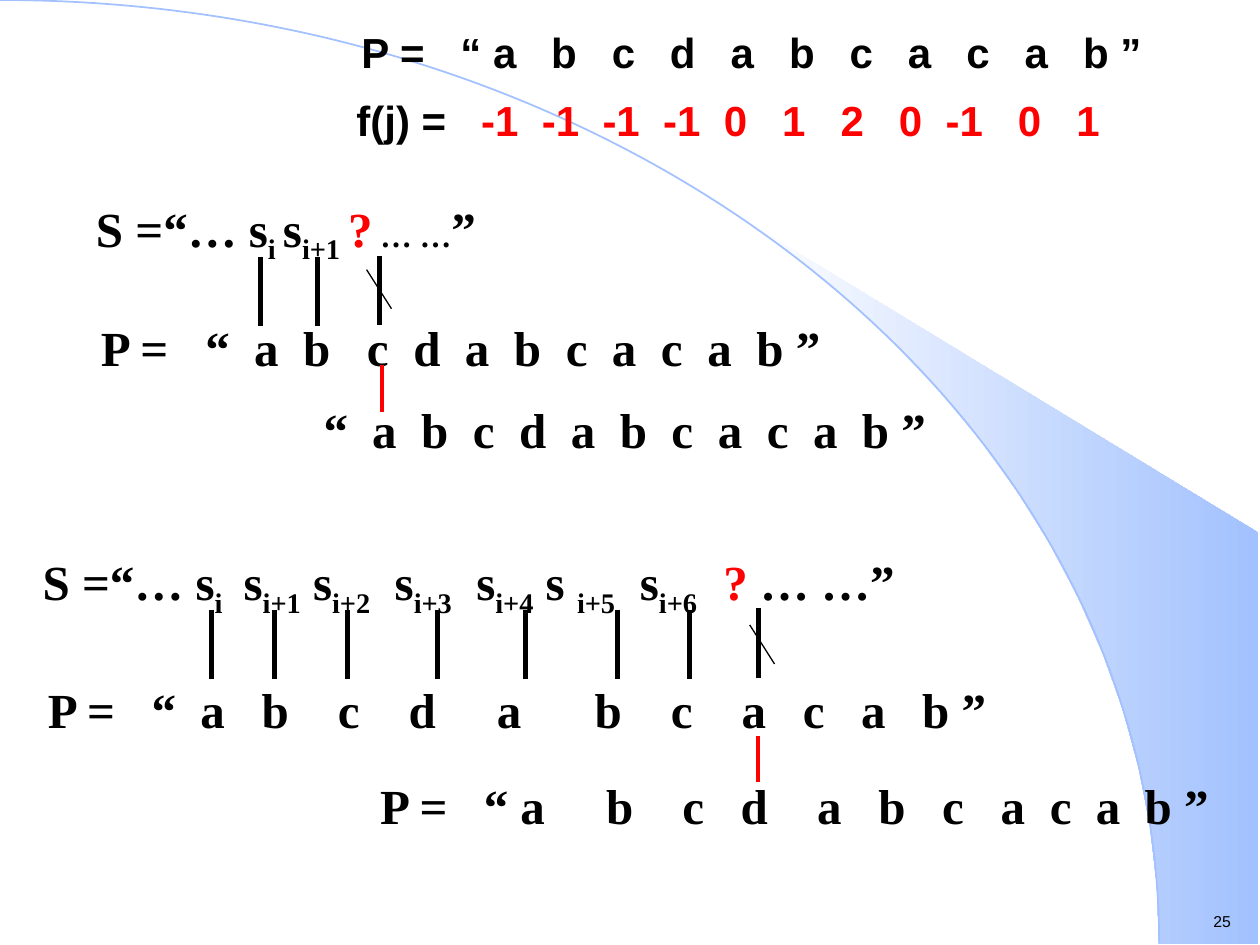
import math

import pptx
import pptx.dml.color
import pptx.enum.shapes
import pptx.enum.text
import pptx.oxml
import pptx.oxml.ns
import pptx.util

Pt = pptx.util.Pt
BLACK, RED, BLUE, WHITE = "000000", "FF0000", "A2C1FE", "FFFFFF"
SERIF, SANS = "Times New Roman", "Arial"
NS = pptx.oxml.ns.nsdecls("a")


def color(value):
    return pptx.dml.color.RGBColor.from_string(value)


class Deck:
    """Holds the text insets and the slide being drawn."""

    inset_x, inset_y = 7.2, 3.6

    def __init__(self, width, height):
        self.prs = pptx.Presentation()
        self.prs.slide_width, self.prs.slide_height = Pt(width), Pt(height)
        self.s = self.prs.slides.add_slide(self.prs.slide_layouts[6])
        self.s.background.fill.solid()
        self.s.background.fill.fore_color.rgb = color(WHITE)

    def text(self, x, y, w, h, runs, stops=(), font=SERIF, size=28, bold=True,
             indent=0, wrap=True):
        """Adds one line; a run is (text, changes), stops are slide x positions."""
        sp = self.s.shapes.add_textbox(Pt(x), Pt(y), Pt(w), Pt(h))
        tf = sp.text_frame
        tf.word_wrap = wrap
        tf.auto_size = pptx.enum.text.MSO_AUTO_SIZE.SHAPE_TO_FIT_TEXT
        tf.margin_left = Pt(self.inset_x + indent)
        tf.margin_right = Pt(self.inset_x)
        tf.margin_top = tf.margin_bottom = Pt(self.inset_y)
        p = tf.paragraphs[0]
        if stops:
            origin = x + self.inset_x + indent
            tabs = "".join(f'<a:tab pos="{int(Pt(stop - origin))}" algn="l"/>'
                           for stop in stops)
            p._p.get_or_add_pPr().append(
                pptx.oxml.parse_xml(f"<a:tabLst {NS}>{tabs}</a:tabLst>"))
        for words, changes in runs:
            r = p.add_run()
            r.text = words
            r.font.name = font
            r.font.size = Pt(changes.get("size", size))
            r.font.bold = changes.get("bold", bold)
            r.font.color.rgb = color(changes.get("color", BLACK))
            if changes.get("sub"):
                r.font._element.set("baseline", "-25000")

    def line(self, x1, y1, x2, y2, width=3, ink=BLACK):
        sp = self.s.shapes.add_connector(
            pptx.enum.shapes.MSO_CONNECTOR.STRAIGHT, Pt(x1), Pt(y1), Pt(x2), Pt(y2))
        sp.line.color.rgb = color(ink)
        sp.line.width = Pt(width)
        sp._element.spPr.append(pptx.oxml.parse_xml(f"<a:effectLst {NS}/>"))

    def freeform(self, points, close):
        fine = [(round(x * 100), round(y * 100)) for x, y in points]
        fb = self.s.shapes.build_freeform(*fine[0], scale=Pt(1) / 100)
        fb.add_line_segments(fine[1:], close=close)
        sp = fb.convert_to_shape()
        sp.shadow.inherit = False
        return sp

    def gradient_area(self, points):
        sp = self.freeform(points, True)
        sp.line.fill.background()
        sp.fill.gradient()
        sp.fill.gradient_angle = 0
        for stop, ink, place in zip(sp.fill.gradient_stops, (WHITE, BLUE), (0, 1)):
            stop.color.rgb = color(ink)
            stop.position = place

    def quarter_arc(self, rx, ry):
        """Draws a quarter ellipse from the slide corner as one Bezier curve."""
        sp = self.freeform([(0, 0), (rx, ry)], False)
        sp.fill.background()
        sp.line.color.rgb = color(BLUE)
        sp.line.width = Pt(1)
        segment = sp._element.find(".//" + pptx.oxml.ns.qn("a:lnTo"))
        k = 0.5523
        controls = ((rx * k, 0), (rx, ry * (1 - k)), (rx, ry))
        pts = "".join(f'<a:pt x="{round(x * 100)}" y="{round(y * 100)}"/>'
                      for x, y in controls)
        segment.getparent().replace(segment, pptx.oxml.parse_xml(
            f"<a:cubicBezTo {NS}>{pts}</a:cubicBezTo>"))


def row(words):
    """Turns letters split by | into tabbed text."""
    return words.replace("|", "\t")


def series(first, last):
    """Gives the runs of an indexed term, such as s with i+1 below it."""
    return [(first, {}), (last, {"sub": True})]


def main():
    deck = Deck(720, 540)

    rx, ry, right = 662.4, 539.3, 719.3
    start, steps = math.asin(424.1 / rx), 14
    angles = [start + (math.pi / 2 - start) * n / steps for n in range(steps + 1)]
    edge = [(rx * math.sin(t), ry * (1 - math.cos(t))) for t in angles]
    deck.gradient_area(edge + [(right, ry), (right, 304.6)])
    deck.quarter_arc(rx, ry)
    deck.text(686.2, 517.7, 25.2, 18, [("25", {})], font=SANS, size=9,
              bold=False, wrap=False)

    # Mismatch at the third letter
    small = {"size": 18}
    deck.text(47.8, 109.9, 581, 41,
              series("S =“… s", "i ") + series("s", "i+1")
              + [(" ", small), ("?", {"color": RED}), (" … …", small), ("”", {})])
    deck.text(50.6, 177.8, 598.3, 41,
              [(row("P =|“|a|b|c|d|a|b|c|a|c|a|b ”"), {})],
              [117.5, 145.3, 173.3, 209.8, 236.3, 265.8, 293.8, 323.4, 349.8,
               377.8, 404.3, 432.3])
    deck.text(121.7, 224.6, 478.8, 41,
              [(row("“|a|b|c|d|a|b|c|a|c|a|b ”"), {})],
              [212.6, 240.6, 270.2, 296.6, 326.2, 354.2, 383.7, 410.2, 438.2,
               464.6, 492.5],
              indent=56)

    # Mismatch at the eighth letter
    deck.text(17.3, 311.8, 581, 41,
              series("S =“… s", "i\t") + series("s", "i+1") + series(" s", "i+2")
              + series("\ts", "i+3") + series("\ts", "i+4") + series(" s ", "i+5")
              + series("\ts", "i+6\t") + [("?", {"color": RED}), (" … …”", {})],
              [139.4, 225.7, 272.3, 365.8, 413.5])
    deck.text(20.2, 384.5, 598.3, 41,
              [(row("P =|“|a|b|c|d|a|b|c|a|c|a|b ”"), {})],
              [86.8, 114.6, 149.6, 193.2, 233.6, 284, 339.9, 383.5, 423.9,
               458.9, 492.2, 527.1])
    deck.text(210.2, 439.6, 498.2, 41,
              [(row("P =|“ a|b|c|d|a|b|c|a|c|a|b ”"), {})],
              [276.6, 346.5, 390, 423.4, 467, 502, 538.5, 571.9, 600, 626.3, 654.2])

    # Matches, then the struck mismatch and the red realignment mark
    for top, matches, miss, slash, retry, retry_top in (
            (146.9, (149, 181.4), 216.7, (209.5, 154.1), 218.2, 208.8),
            (348.5, (121, 157, 198.7, 249.8, 300.2, 352.8, 393.8), 433.4,
             (428.4, 357.1), 433.4, 420.5)):
        for x in matches:
            deck.line(x, top, x, top + 39.5)
        deck.line(miss, top - 0.8, miss, top + 38.7)
        x, y = slash
        deck.line(x, y, x + 14.2, y + 22.3, 0.75)
        deck.line(retry, retry_top, retry, retry_top + 26.6, 2.25, RED)

    # Pattern and its failure function
    deck.text(199.4, 11.8, 470.9, 36,
              [(row("P =|“ a|b|c|d|a|b|c|a|c|a|b ”"), {})],
              [263.3, 315.1, 349.8, 383, 417.7, 451.1, 485.6, 519, 552.4, 585.6, 619],
              font=SANS, size=24)
    deck.text(196.6, 46.4, 460.1, 41,
              [(row("f(j) =|"), {}),
               (row("-1|-1|-1|-1|0|1|2|0|-1|0|1"), {"color": RED}),
               (" ", {"size": 28, "bold": False})],
              [275.1, 309.8, 344.4, 379.1, 413.8, 447.1, 480.5, 513.8, 540.5,
               581.8, 615.2],
              font=SANS, size=24)

    deck.prs.save("out.pptx")


if __name__ == "__main__":
    main()
